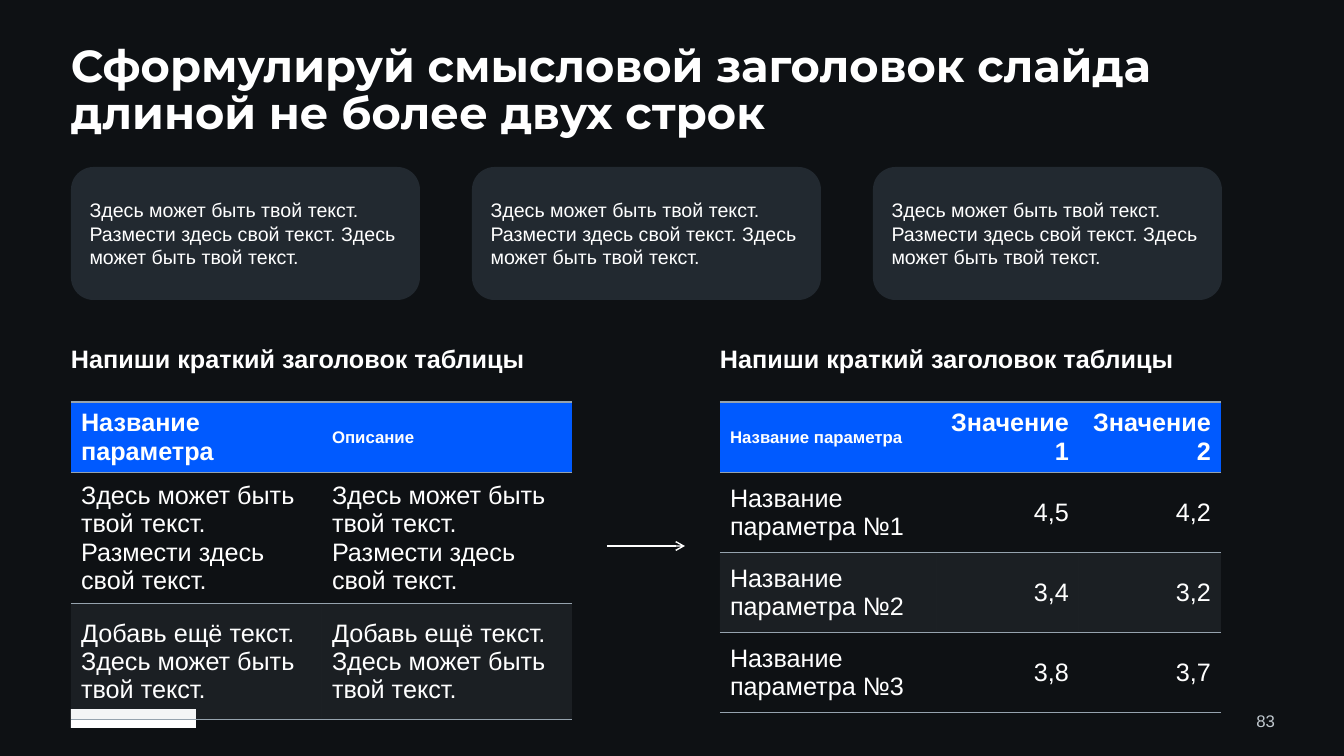
import pptx
import pptx.util
import pptx.dml.color
import pptx.enum.shapes
import pptx.enum.text
import pptx.oxml
import pptx.oxml.ns

PX = 12192000 / 1344
COLORS = {
    "background": "0E1114", "text": "FFFFFF", "card": "222930",
    "header": "005AFF", "rule": "96A3AE", "number": "C0C8CE",
}
ALIGN = pptx.enum.text.PP_ALIGN
MIDDLE = pptx.enum.text.MSO_ANCHOR.MIDDLE
SHAPES = pptx.enum.shapes.MSO_SHAPE
NS = pptx.oxml.ns.nsdecls("a")


def px(*lengths):
    return [round(length * PX) for length in lengths]


def write(frame, text, size, bold=False, color="text", font="Arial", align=ALIGN.LEFT):
    frame.text = text
    frame.word_wrap = True
    paragraph = frame.paragraphs[0]
    paragraph.alignment = align
    run = paragraph.runs[0]
    run.font.name = font
    run.font.size = pptx.util.Pt(size)
    run.font.bold = bold
    run.font.color.rgb = pptx.dml.color.RGBColor.from_string(COLORS[color])
    return paragraph


deck = pptx.Presentation()
deck.slide_width, deck.slide_height = px(1344, 756)
slide = deck.slides.add_slide(deck.slide_layouts[6])
slide.background.fill.solid()
slide.background.fill.fore_color.rgb = pptx.dml.color.RGBColor.from_string(COLORS["background"])

logo_block = (SHAPES.RECTANGLE, 71, 709, 125, 19, "text")
cards = [(SHAPES.ROUNDED_RECTANGLE, 71 + 401 * i, 167, 349, 133, "card") for i in range(3)]
for kind, left, top, width, height, color in [logo_block] + cards:
    block = slide.shapes.add_shape(kind, *px(left, top, width, height))
    block.shadow.inherit = False
    block.fill.solid()
    block.fill.fore_color.rgb = pptx.dml.color.RGBColor.from_string(COLORS[color])
    block.line.fill.background()
    if color == "card":
        block.adjustments[0] = 0.17
        frame = block.text_frame
        frame.margin_left = px(12)[0]
        frame.margin_top = frame.margin_right = frame.margin_bottom = 0
        frame.vertical_anchor = MIDDLE
        write(frame, "Здесь может быть твой текст. Размести здесь свой текст. "
                     "Здесь может быть твой текст.", 14)

table_title = "Напиши краткий заголовок таблицы"
labels = [
    ("Сформулируй смысловой заголовок слайда длиной не более двух строк",
     (71, 45, 1202, 76), 32, True, "text", "Montserrat", ALIGN.LEFT, 0.87),
    (table_title, (71, 347, 501, 30), 18, True, "text", "Arial", ALIGN.LEFT, 0.9),
    (table_title, (720, 347, 501, 30), 18, True, "text", "Arial", ALIGN.LEFT, 0.9),
    ("83", (1175, 709, 100, 24), 12, False, "number", "Arial", ALIGN.RIGHT, 1.0),
]
for text, box, size, bold, color, font, align, spacing in labels:
    frame = slide.shapes.add_textbox(*px(*box)).text_frame
    frame.margin_left = frame.margin_top = frame.margin_right = frame.margin_bottom = 0
    if color == "number":
        frame.vertical_anchor = MIDDLE
    write(frame, text, size, bold, color, font, align).line_spacing = spacing

sample = "Здесь может быть твой текст. Размести здесь свой текст."
extra = "Добавь ещё текст. Здесь может быть твой текст."
tables = [
    (71, [251, 250], [56, 116, 116], 1, ALIGN.LEFT,
     [["Название параметра", "Описание"], [sample, sample], [extra, extra]]),
    (720, [217, 142, 142], [48, 80, 80, 80], 0, ALIGN.RIGHT,
     [["Название параметра", "Значение 1", "Значение 2"],
      ["Название параметра №1", "4,5", "4,2"],
      ["Название параметра №2", "3,4", "3,2"],
      ["Название параметра №3", "3,8", "3,7"]]),
]
for left, widths, heights, small_column, value_align, rows in tables:
    table = slide.shapes.add_table(
        len(rows), len(widths), *px(left, 402, sum(widths), sum(heights))).table
    for column, width in zip(table.columns, px(*widths)):
        column.width = width
    for row, height in zip(table.rows, px(*heights)):
        row.height = height
    for r, texts in enumerate(rows):
        for c, text in enumerate(texts):
            cell = table.cell(r, c)
            cell.vertical_anchor = MIDDLE
            size = 12 if r == 0 and c == small_column else 18
            write(cell.text_frame, text, size, r == 0, align=value_align if c else ALIGN.LEFT)
            properties = cell._tc.get_or_add_tcPr()
            edges = {"lnL": 0, "lnR": 0, "lnT": 0.5 if r else 1,
                     "lnB": 1 if r == len(rows) - 1 else 0.5}
            for edge, points in edges.items():
                paint = (f'<a:solidFill><a:srgbClr val="{COLORS["rule"]}">'
                         '<a:alpha val="40000"/></a:srgbClr></a:solidFill>'
                         if points else "<a:noFill/>")
                properties.append(pptx.oxml.parse_xml(
                    f'<a:{edge} {NS} w="{int(points * 12700)}">{paint}</a:{edge}>'))
            if r in (0, 2):
                cell.fill.solid()
                cell.fill.fore_color.rgb = pptx.dml.color.RGBColor.from_string(
                    COLORS["rule" if r else "header"])
                if r:
                    tint = properties.find(pptx.oxml.ns.qn("a:solidFill"))[0]
                    tint.append(pptx.oxml.parse_xml(f'<a:alpha {NS} val="10000"/>'))
            else:
                cell.fill.background()

arrow = slide.shapes.add_connector(
    pptx.enum.shapes.MSO_CONNECTOR.STRAIGHT, *px(607, 546, 685, 546))
arrow.line.width = pptx.util.Pt(1)
arrow.line.color.rgb = pptx.dml.color.RGBColor.from_string(COLORS["text"])
arrow.line._get_or_add_ln().append(pptx.oxml.parse_xml(f'<a:tailEnd {NS} type="arrow"/>'))
arrow._element.spPr.append(pptx.oxml.parse_xml(f"<a:effectLst {NS}/>"))

deck.save("out.pptx")
